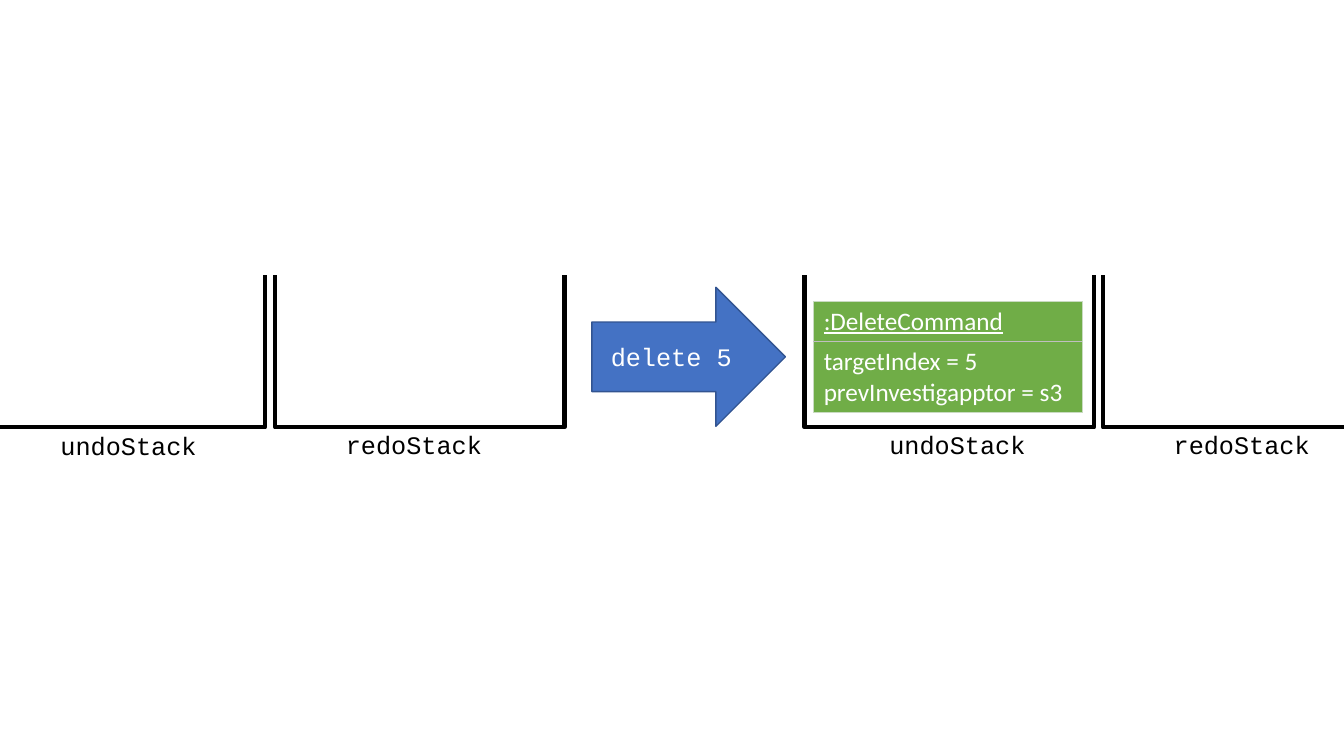
from dataclasses import dataclass
from lxml.etree import SubElement
from pptx import Presentation
from pptx.dml.color import RGBColor as RGB
from pptx.enum.shapes import MSO_SHAPE as Shape
from pptx.enum.text import MSO_ANCHOR as Anchor, PP_ALIGN as Align
from pptx.oxml.ns import qn
from pptx.util import Inches, Pt


@dataclass
class Theme:
    black: str = "000000"
    white: str = "FFFFFF"
    arrow: str = "4472C4"
    arrow_line: str = "325491"
    card: str = "70AD47"
    card_edge: str = "C9DBC1"
    card_rule: str = "BFBFBF"
    code: str = "Courier New"
    body: str = "Calibri"
    size: int = 18


theme = Theme()


def add_run(p, text, font, color, underline=False):
    r = p.add_run()
    r.text = text
    r.font.name = font
    r.font.size = Pt(theme.size)
    r.font.color.rgb = RGB.from_string(color)
    r.font.underline = underline


def add_border(cell, tag, color, width):
    ln = SubElement(cell._tc.get_or_add_tcPr(), qn(tag), w=str(Pt(width)))
    fill = SubElement(ln, qn("a:solidFill"))
    SubElement(fill, qn("a:srgbClr"), val=color)


prs = Presentation()
prs.slide_width, prs.slide_height = Inches(13.33), Inches(7.5)
s = prs.slides.add_slide(prs.slide_layouts[6])

labels = [
    ("undoStack", -0.07, 4.22),
    ("redoStack", 2.76, 4.21),
    ("undoStack", 8.15, 4.21),
    ("redoStack", 10.97, 4.21),
]
for name, left, top in labels:
    label = s.shapes.add_textbox(Inches(left), Inches(top), Inches(2.69), Inches(0.4))
    tf = label.text_frame
    tf.word_wrap = True
    p = tf.paragraphs[0]
    p.alignment = Align.CENTER
    add_run(p, name, theme.code, theme.black)

arrow = s.shapes.add_shape(
    Shape.RIGHT_ARROW, Inches(5.87), Inches(2.85), Inches(1.92), Inches(1.38)
)
arrow.shadow.inherit = False
arrow.fill.solid()
arrow.fill.fore_color.rgb = RGB.from_string(theme.arrow)
arrow.line.color.rgb = RGB.from_string(theme.arrow_line)
arrow.line.width = Pt(1)
tf = arrow.text_frame
tf.vertical_anchor = Anchor.MIDDLE
p = tf.paragraphs[0]
p.alignment = Align.CENTER
add_run(p, "delete 5", theme.code, theme.white)

rows = [
    (0.4, [":DeleteCommand"], True),
    (0.7, ["targetIndex = 5", "prevInvestigapptor = s3"], False),
]
card = s.shapes.add_table(
    len(rows), 1, Inches(8.07), Inches(2.99), Inches(2.66), Inches(1.1)
).table
card.first_row = card.horz_banding = False
edge, rule = (theme.card_edge, 0.5), (theme.card_rule, 1)
for i, (height, lines, is_title) in enumerate(rows):
    card.rows[i].height = Inches(height)
    cell = card.cell(i, 0)
    tf = cell.text_frame
    for j, line in enumerate(lines):
        p = tf.add_paragraph() if j else tf.paragraphs[0]
        add_run(p, line, theme.body, theme.white, is_title)
    top, bottom = (edge, rule) if is_title else (rule, edge)
    for tag, border in zip(
        ("a:lnL", "a:lnR", "a:lnT", "a:lnB"), (edge, edge, top, bottom)
    ):
        add_border(cell, tag, *border)
    cell.fill.solid()
    cell.fill.fore_color.rgb = RGB.from_string(theme.card)

stack_top, stack_bottom, stack_width = 2.73, 4.24, 2.87
for left in (7.98, 10.94, 2.73, -0.24):
    right = left + stack_width
    fb = s.shapes.build_freeform(Inches(left), Inches(stack_top))
    corners = [(left, stack_bottom), (right, stack_bottom), (right, stack_top)]
    fb.add_line_segments([(Inches(x), Inches(y)) for x, y in corners], close=False)
    stack = fb.convert_to_shape()
    stack.shadow.inherit = False
    stack.fill.background()
    stack.line.color.rgb = RGB.from_string(theme.black)
    stack.line.width = Pt(3)

prs.save("out.pptx")
